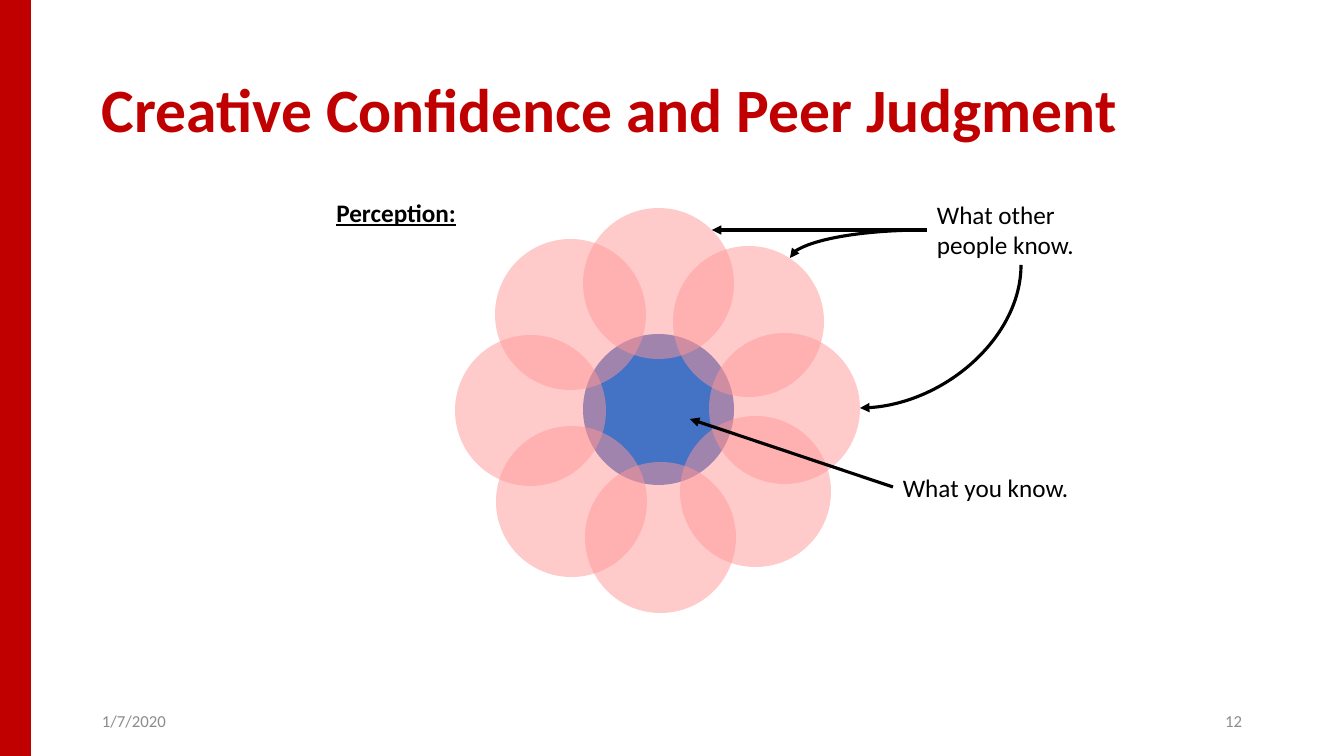
from lxml.etree import SubElement
from pptx import Presentation
from pptx.dml.color import RGBColor
from pptx.enum.shapes import MSO_CONNECTOR, MSO_SHAPE
from pptx.enum.text import MSO_ANCHOR, PP_ALIGN
from pptx.oxml.ns import qn
from pptx.util import Emu, Pt

SCALE = 12192000 / 1344
RED = RGBColor(0xC0, 0x00, 0x00)
BLUE = RGBColor(0x44, 0x72, 0xC4)
PINK = RGBColor(0xFF, 0x97, 0x97)
GREY = RGBColor(0x8C, 0x8C, 0x8C)
BLACK = RGBColor(0, 0, 0)
SIZE = 151
CORE = (583, 334)
PETALS = [(455, 335), (709, 333), (583, 208), (585, 462),
          (673, 246), (496, 426), (680, 416), (495, 239)]
BODY = {"size": Pt(18)}
SMALL = {"size": Pt(12), "color": GREY}
TITLE = {"size": Pt(44), "color": RED, "bold": True}
LABEL = {"size": Pt(18), "bold": True, "underline": True}


def px(*nums):
    return [Emu(round(num * SCALE)) for num in nums]


def add_solid(slide, kind, box, color, alpha=None):
    shape = slide.shapes.add_shape(kind, *px(*box))
    shape.shadow.inherit = False
    shape.fill.solid()
    shape.fill.fore_color.rgb = color
    shape.line.fill.background()
    if alpha:
        tone = shape._element.spPr.find(".//" + qn("a:srgbClr"))
        SubElement(tone, qn("a:alpha"), val=str(alpha * 1000))
    return shape


def add_text(slide, box, text, style, align=PP_ALIGN.LEFT,
             anchor=MSO_ANCHOR.TOP, wrap=True, pitch=1.0):
    frame = slide.shapes.add_textbox(*px(*box)).text_frame
    frame.word_wrap = wrap
    frame.vertical_anchor = anchor
    para = frame.paragraphs[0]
    para.alignment = align
    para.line_spacing = pitch
    run = para.add_run()
    run.text = text
    look = {"name": "Calibri", "color": BLACK, **style}
    run.font.color.rgb = look.pop("color")
    for key, value in look.items():
        setattr(run.font, key, value)


def add_arrow(slide, start, end, kind=MSO_CONNECTOR.STRAIGHT,
              bend=False, tip="a:tailEnd"):
    arrow = slide.shapes.add_connector(kind, *px(*start, *end))
    arrow.line.color.rgb = BLACK
    arrow.line.width = Pt(2.25)
    SubElement(arrow.line._get_or_add_ln(), qn(tip), type="triangle")
    props = arrow._element.spPr
    SubElement(props, qn("a:effectLst"))
    if bend:
        props.find(qn("a:prstGeom")).set("prst", "curvedConnector2")


def main():
    """Build the peer judgment slide and save it."""
    deck = Presentation()
    deck.slide_width, deck.slide_height = px(1344, 756)
    slide = deck.slides.add_slide(deck.slide_layouts[6])

    band = add_solid(slide, MSO_SHAPE.RECTANGLE, (0, 0, 30, 756), RED)
    band.line.color.rgb = RED
    band.line.width = Pt(1)

    add_solid(slide, MSO_SHAPE.OVAL, (*CORE, SIZE, SIZE), BLUE)
    for spot in PETALS:
        add_solid(slide, MSO_SHAPE.OVAL, (*spot, SIZE, SIZE), PINK, 50)

    mid = MSO_ANCHOR.MIDDLE
    add_text(slide, (92, 40, 1159, 146), "Creative Confidence and Peer Judgment",
             TITLE, anchor=mid, pitch=0.9)
    add_text(slide, (92, 701, 302, 40), "1/7/2020", SMALL, anchor=mid)
    add_text(slide, (950, 701, 302, 40), "12", SMALL, PP_ALIGN.RIGHT, mid)
    add_text(slide, (325, 192, 141, 40), "Perception:", LABEL,
             PP_ALIGN.RIGHT, wrap=False)
    add_text(slide, (893, 467, 187, 40), "What you know.", BODY, wrap=False)
    add_text(slide, (927, 194, 187, 71), "What other people know.", BODY)

    curve = MSO_CONNECTOR.CURVE
    add_arrow(slide, (893, 487), (690, 419))
    add_arrow(slide, (927, 230), (790, 258), curve, True)
    add_arrow(slide, (927, 230), (712, 230), curve)
    add_arrow(slide, (860, 408), (1021, 265), curve, True, "a:headEnd")

    deck.save("out.pptx")


if __name__ == "__main__":
    main()
